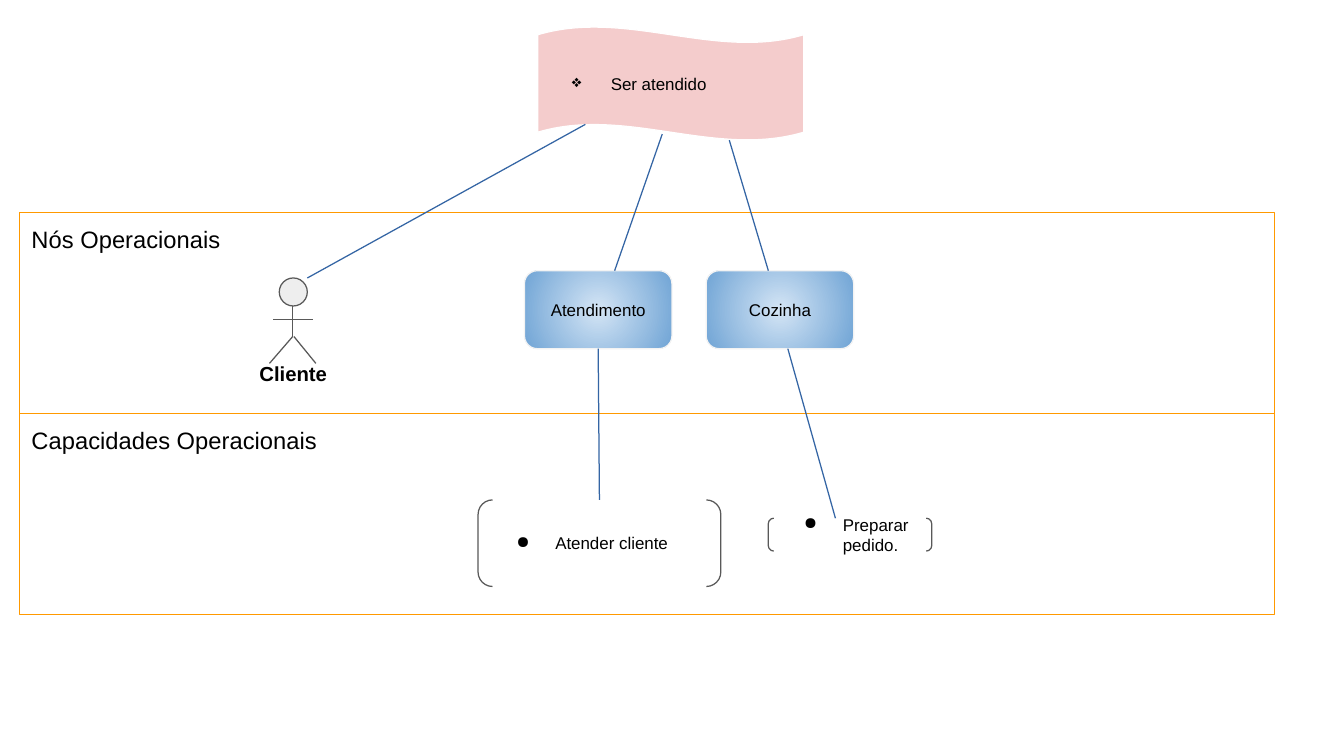
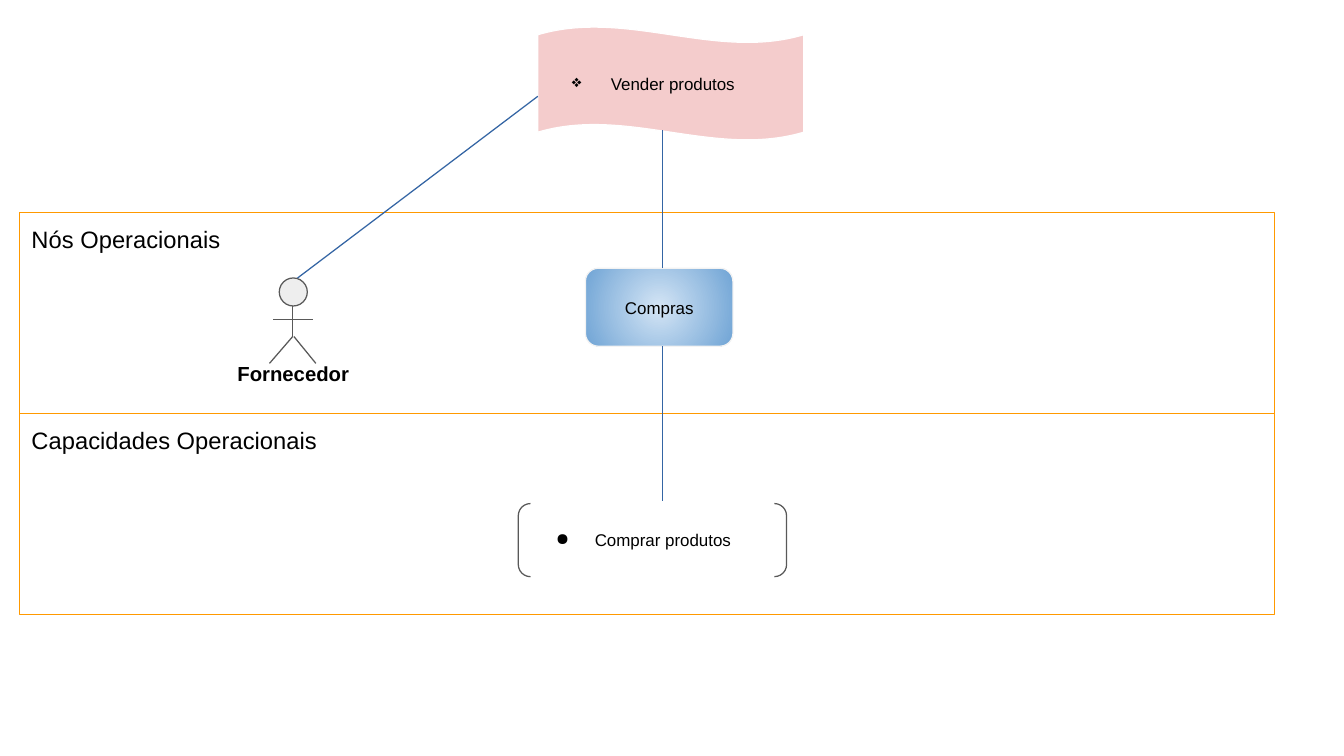
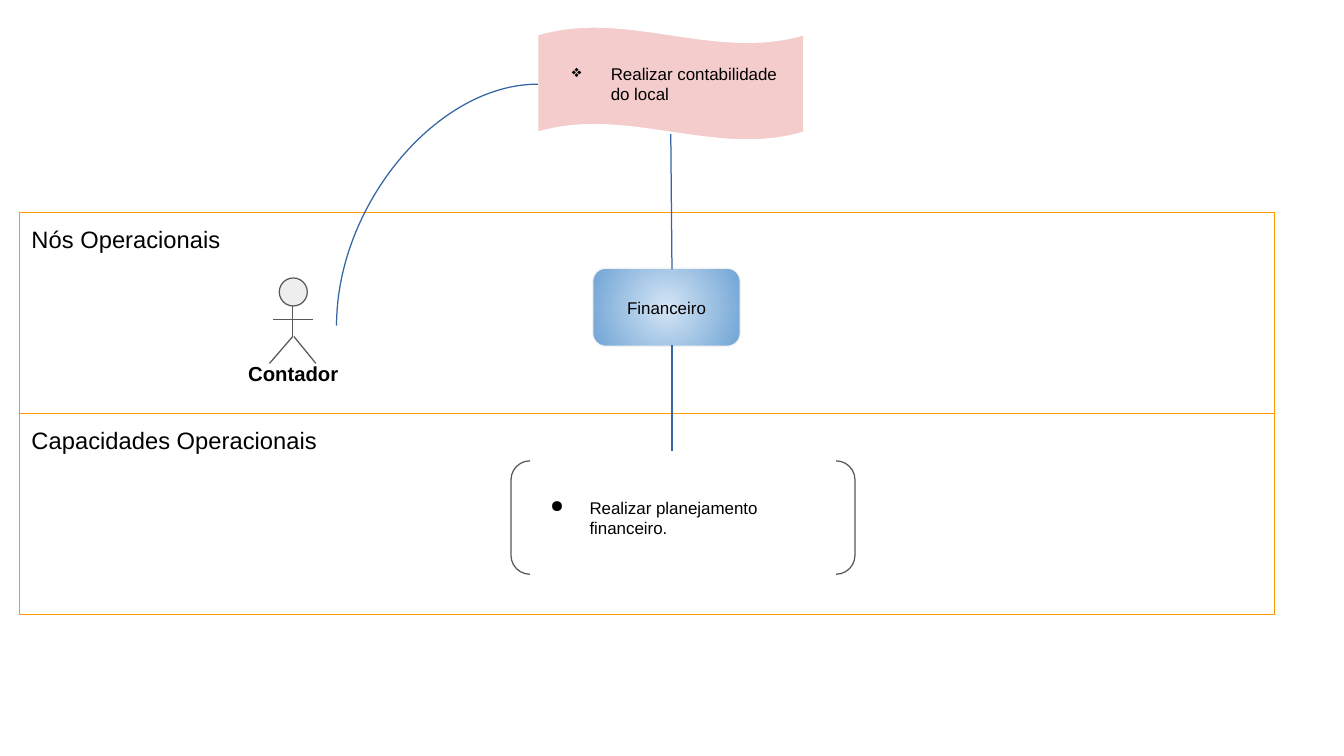
from pptx import Presentation
from pptx.dml.color import RGBColor
from pptx.enum import shapes as es, text as et
from pptx.oxml import parse_xml
from pptx.oxml.ns import nsdecls, qn
from pptx.oxml.xmlchemy import OxmlElement
from pptx.util import Inches, Pt


class Theme:
    font = "Arial"
    ink = "000000"
    band = "FF9900"
    goal = "F4CCCC"
    white = "FFFFFF"
    head = "EEEEEE"
    gray = "595959"
    edge = "F3F3F3"
    glow = ("D4E5F5", "70A4D5")
    link = "3465A4"
    small, name, label = 10, 12, 14
    stroke = 0.75


KIND = es.MSO_SHAPE
LINE = es.MSO_CONNECTOR
LEFT, MID = et.PP_ALIGN.LEFT, et.PP_ALIGN.CENTER
TOP, CORE = et.MSO_ANCHOR.TOP, et.MSO_ANCHOR.MIDDLE


def write(shape, words, size=Theme.small, bold=False, align=LEFT, anchor=CORE, bullet=None):
    """Fill a shape with one formatted paragraph, bulleted on request."""
    frame = shape.text_frame
    frame.word_wrap = True
    frame.vertical_anchor = anchor
    frame.margin_left = frame.margin_right = Inches(0.1)
    frame.margin_top = frame.margin_bottom = Inches(0.1)
    para = frame.paragraphs[0]
    para.alignment = align
    run = para.add_run()
    run.text = words
    run.font.name, run.font.size, run.font.bold = Theme.font, Pt(size), bold
    run.font.color.rgb = RGBColor.from_string(Theme.ink)
    if bullet:
        props = para._p.get_or_add_pPr()
        props.set("marL", str(Inches(0.5)))
        props.set("indent", str(Inches(-0.32)))
        color = parse_xml(f'<a:buClr {nsdecls("a")}><a:srgbClr val="{Theme.ink}"/></a:buClr>')
        mark = OxmlElement("a:buChar")
        mark.set("char", bullet)
        props.extend([color, mark])


def draw(home, kind, spot, color, fill=None):
    """Add a preset shape, or a connector when kind is a connector type."""
    spot = [Inches(v) for v in spot]
    if isinstance(kind, LINE):
        item = home.add_connector(kind, *spot)
        item._element.spPr.append(OxmlElement("a:effectLst"))
    else:
        item = home.add_shape(kind, *spot)
        item.shadow.inherit = False
        if fill:
            item.fill.solid()
            item.fill.fore_color.rgb = RGBColor.from_string(fill)
        else:
            item.fill.background()
    item.line.color.rgb = RGBColor.from_string(color)
    item.line.width = Pt(Theme.stroke)
    return item


BANDS = ["Nós Operacionais", "Capacidades Operacionais"]
LIMBS = [
    (2.4, 2.51, 2.4, 2.76),
    (2.24, 2.62, 2.57, 2.62),
    (2.4, 2.76, 2.21, 2.98),
    (2.41, 2.76, 2.59, 2.98),
]

# nodes: name, left, top; skills: text, left, top, width, height
# joins: node index, skill index; links: x1, y1, x2, y2
PAGES = [
    dict(
        goal="Ser atendido",
        actor="Cliente",
        nodes=[("Atendimento", 4.3, 2.22), ("Cozinha", 5.79, 2.22)],
        skills=[("Atender cliente", 3.92, 4.1, 1.99, 0.71),
                ("Preparar pedido.", 6.3, 4.25, 1.34, 0.27)],
        joins=[(0, 0)],
        links=[(5.98, 1.15, 6.3, 2.22), (4.8, 1.02, 2.52, 2.28),
               (5.43, 1.1, 5.04, 2.22), (6.46, 2.86, 6.85, 4.25)],
        curves=[],
    ),
    dict(
        goal="Vender produtos",
        actor="Fornecedor",
        nodes=[("Compras", 4.8, 2.2)],
        skills=[("Comprar produtos", 4.25, 4.13, 2.2, 0.6)],
        joins=[],
        links=[(2.44, 2.28, 4.41, 0.79), (5.43, 2.2, 5.43, 1.07),
               (5.43, 2.84, 5.43, 4.11)],
        curves=[],
    ),
    dict(
        goal="Realizar contabilidade do local",
        actor="Contador",
        nodes=[("Financeiro", 4.86, 2.2)],
        skills=[("Realizar planejamento financeiro.", 4.19, 3.78, 2.82, 0.93)],
        joins=[],
        links=[(5.5, 1.1, 5.51, 2.21), (5.51, 2.83, 5.51, 3.7)],
        curves=[(4.41, 0.69, 2.76, 2.67)],
    ),
]

deck = Presentation()
deck.slide_width, deck.slide_height = Inches(11.02), Inches(6.2)

for page in PAGES:
    board = deck.slides.add_slide(deck.slide_layouts[6]).shapes

    for row, label in enumerate(BANDS):
        band = draw(board, KIND.RECTANGLE, (0.16, 1.74 + row * 1.65, 10.29, 1.65), Theme.band)
        write(band, label, size=Theme.label, anchor=TOP)

    goal = draw(board, KIND.WAVE, (4.41, 0.22, 2.18, 0.93), Theme.white, Theme.goal)
    goal.adjustments[0], goal.adjustments[1] = 0.07, 0
    write(goal, page["goal"], bullet="❖")

    actor = board.add_group_shape().shapes
    draw(actor, KIND.FLOWCHART_CONNECTOR, (2.29, 2.28, 0.23, 0.23), Theme.gray, Theme.head)
    for limb in LIMBS:
        draw(actor, LINE.STRAIGHT, limb, Theme.gray)
    name = actor.add_textbox(Inches(1.79), Inches(2.86), Inches(1.23), Inches(0.41))
    write(name, page["actor"], size=Theme.name, bold=True, align=MID, anchor=TOP)

    nodes = []
    for title, left, top in page["nodes"]:
        node = draw(board, KIND.ROUNDED_RECTANGLE, (left, top, 1.21, 0.64), Theme.edge)
        node.fill.gradient()
        for stop, tone in zip(node.fill.gradient_stops, Theme.glow):
            stop.color.rgb = RGBColor.from_string(tone)
        grad = node._element.spPr.find(qn("a:gradFill"))
        grad.replace(grad.find(qn("a:lin")), parse_xml(
            f'<a:path {nsdecls("a")} path="circle">'
            '<a:fillToRect l="50000" t="50000" r="50000" b="50000"/></a:path>'))
        write(node, title, align=MID)
        nodes.append(node)

    skills = []
    for words, *spot in page["skills"]:
        skill = draw(board, KIND.DOUBLE_BRACKET, spot, Theme.gray)
        write(skill, words, bullet="●")
        skills.append(skill)

    for start, end in page["joins"]:
        link = draw(board, LINE.STRAIGHT, (0, 0, 1, 1), Theme.link)
        link.begin_connect(nodes[start], 2)
        link.end_connect(skills[end], 0)
    for ends in page["links"]:
        draw(board, LINE.STRAIGHT, ends, Theme.link)
    for ends in page["curves"]:
        curve = draw(board, LINE.CURVE, ends, Theme.link)
        curve._element.spPr.find(qn("a:prstGeom")).set("prst", "curvedConnector2")

deck.save("out.pptx")
